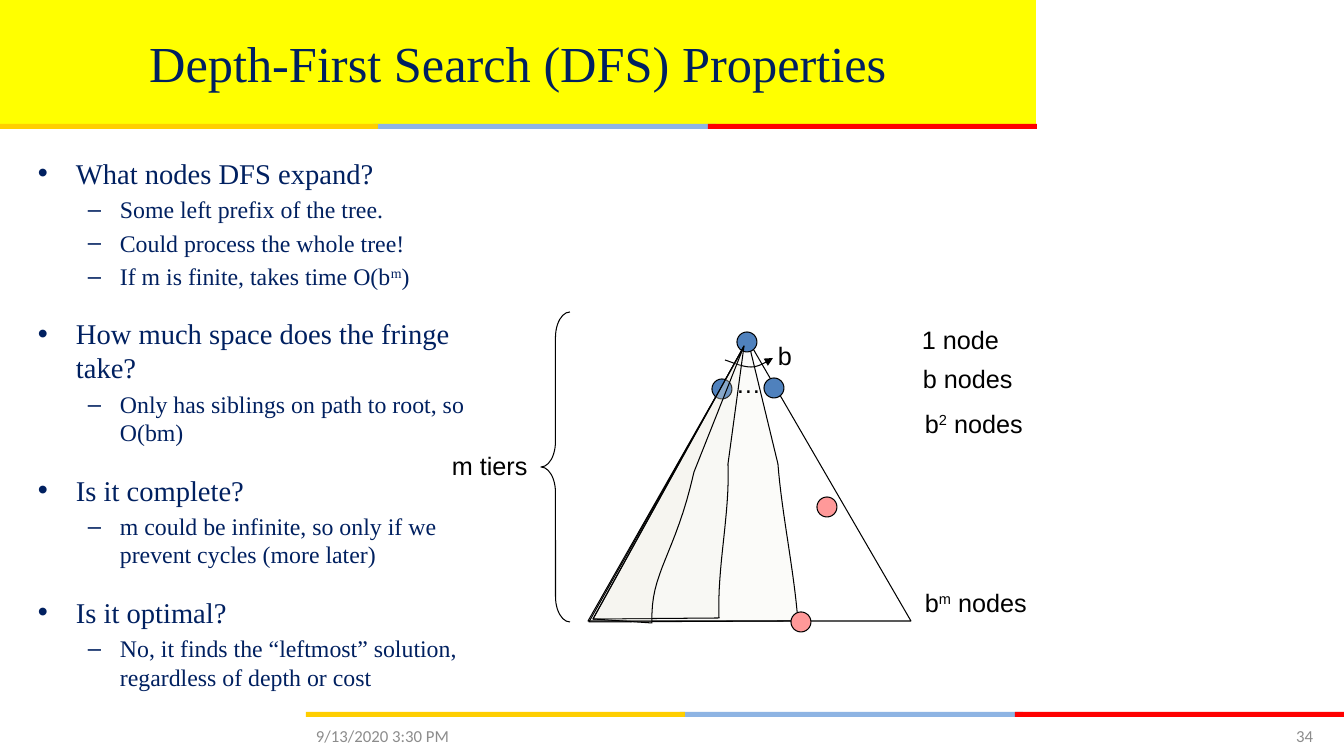
from dataclasses import dataclass

from lxml.etree import SubElement
from pptx import Presentation
from pptx.dml.color import RGBColor
from pptx.enum.shapes import MSO_SHAPE
from pptx.enum.text import MSO_ANCHOR, PP_ALIGN
from pptx.oxml.ns import qn
from pptx.util import Emu, Pt

PX = 914400 / 100.8
CURVE_STEPS = 16

BLACK = RGBColor(0x00, 0x00, 0x00)
NAVY = RGBColor(0x00, 0x20, 0x60)
GREY = RGBColor(0x8C, 0x8C, 0x8C)
BANNER_YELLOW = RGBColor(0xFF, 0xFF, 0x00)
GOLD = RGBColor(0xFF, 0xCE, 0x00)
SKY = RGBColor(0x8E, 0xB4, 0xE3)
RED = RGBColor(0xFF, 0x00, 0x00)
NODE_BLUE = RGBColor(0x4F, 0x81, 0xBD)
GOAL_PINK = RGBColor(0xFF, 0x99, 0x99)
CREAM = RGBColor(0xEE, 0xEC, 0xE1)

TITLE_STYLE = {"name": "Times New Roman", "size": Pt(36)}
LABEL_STYLE = {"name": "Arial", "size": Pt(18)}
FOOTER_STYLE = {"name": "Calibri", "size": Pt(12)}

Point = tuple[int, int]
Box = tuple[int, int, int, int]


@dataclass(frozen=True)
class Level:
    bullet: str
    indent: int
    hanging: int
    space_before: float
    size: float


@dataclass(frozen=True)
class Label:
    text: str
    box: Box
    style: dict
    color: RGBColor = BLACK
    align: PP_ALIGN = PP_ALIGN.LEFT
    anchor: MSO_ANCHOR = MSO_ANCHOR.TOP


@dataclass(frozen=True)
class Outline:
    """A segment of one point is a line, one of three points is a cubic curve."""
    start: Point
    segments: list[list[Point]]
    filled: bool = True
    closed: bool = True


QUESTION = Level("•", 38, 38, 18.5, 20.4)
ANSWER = Level("–", 82, 32, 3.4, 17)

# A caret pair marks superscript.
BODY = [
    (QUESTION, "What nodes DFS expand?"),
    (ANSWER, "Some left prefix of the tree."),
    (ANSWER, "Could process the whole tree!"),
    (ANSWER, "If m is finite, takes time O(b^m^)"),
    (QUESTION, "How much space does the fringe take?"),
    (ANSWER, "Only has siblings on path to root, so O(bm)"),
    (QUESTION, "Is it complete?"),
    (ANSWER, "m could be infinite, so only if we prevent cycles (more later)"),
    (QUESTION, "Is it optimal?"),
    (ANSWER, "No, it finds the “leftmost” solution, regardless of depth or cost"),
]

TITLE = Label("Depth-First Search (DFS) Properties", (0, 0, 1036, 124), TITLE_STYLE, NAVY,
              PP_ALIGN.CENTER, MSO_ANCHOR.MIDDLE)
TREE_LABELS = [
    Label("…", (726, 363, 30, 40), LABEL_STYLE),
    Label("b", (768, 335, 33, 40), LABEL_STYLE),
    Label("1 node", (912, 319, 137, 40), LABEL_STYLE),
    Label("b nodes", (913, 358, 137, 40), LABEL_STYLE),
    Label("b^2^ nodes", (915, 403, 134, 40), LABEL_STYLE),
    Label("b^m^ nodes", (915, 582, 173, 40), LABEL_STYLE),
    Label("m tiers", (442, 445, 139, 40), LABEL_STYLE),
]
FOOTERS = [
    Label("9/13/2020 3:30 PM", (306, 716, 313, 40), FOOTER_STYLE, GREY,
          anchor=MSO_ANCHOR.MIDDLE),
    Label("34", (1176, 716, 147, 40), FOOTER_STYLE, GREY, PP_ALIGN.RIGHT, MSO_ANCHOR.MIDDLE),
]

STRIPE = [(374, 343, SKY), (709, 329, RED), (0, 379, GOLD)]
NODES = [(737, 332), (712, 379), (764, 378)]
GOALS = [(791, 612), (817, 497)]

WIDE_SWEEP = Outline((589, 622), [[(798, 621)], [(794, 569), (782, 515), (778, 464)],
                                  [(748, 340)]])
TREE = Outline((588, 621), [[(911, 621)], [(748, 340)]], filled=False)
BRANCH_ARROW = Outline((725, 360), [[(734, 363), (743, 367), (751, 367)],
                                    [(759, 367), (766, 362), (773, 358)]],
                       filled=False, closed=False)
INNER_SWEEPS = [
    Outline((593, 619), [[(719, 618)], [(717, 566), (730, 515), (728, 464)], [(744, 346)]]),
    Outline((593, 619), [[(652, 623)], [(650, 572), (675, 556), (694, 472)], [(744, 346)]]),
]


def px(value: float) -> Emu:
    return Emu(round(value * PX))


def style_shape(shape, fill: RGBColor | None, outlined: bool = True) -> None:
    shape.shadow.inherit = False
    if fill is None:
        shape.fill.background()
    else:
        shape.fill.solid()
        shape.fill.fore_color.rgb = fill
    if outlined:
        shape.line.color.rgb = BLACK
        shape.line.width = Pt(0.75)
    else:
        shape.line.fill.background()


def add_preset(slide, kind: MSO_SHAPE, box: Box, fill: RGBColor | None, outlined: bool = True):
    shape = slide.shapes.add_shape(kind, *map(px, box))
    style_shape(shape, fill, outlined)
    return shape


def add_stripe(slide, left: int, top: int) -> None:
    for offset, width, color in STRIPE:
        add_preset(slide, MSO_SHAPE.RECTANGLE, (left + offset, top, width, 5), color, False)


def add_circle(slide, corner: Point, fill: RGBColor) -> None:
    add_preset(slide, MSO_SHAPE.OVAL, (*corner, 20, 20), fill)


def curve_points(start: Point, controls: list[Point]) -> list[tuple[float, float]]:
    """Sample a cubic curve, leaving out its start."""
    points = []
    for step in range(1, CURVE_STEPS + 1):
        t = step / CURVE_STEPS
        weights = ((1 - t) ** 3, 3 * t * (1 - t) ** 2, 3 * t * t * (1 - t), t ** 3)
        points.append(tuple(sum(weight * value for weight, value in zip(weights, axis))
                            for axis in zip(start, *controls)))
    return points


def add_outline(slide, outline: Outline):
    points, end = [], outline.start
    for segment in outline.segments:
        points += segment if len(segment) == 1 else curve_points(end, segment)
        end = segment[-1]
    builder = slide.shapes.build_freeform(*map(px, outline.start))
    builder.add_line_segments([(px(x), px(y)) for x, y in points], close=outline.closed)
    shape = builder.convert_to_shape()
    style_shape(shape, CREAM if outline.filled else None)
    if outline.filled:
        color = shape.fill._xPr.find(qn("a:solidFill"))[0]
        SubElement(color, qn("a:alpha"), val="20000")
    return shape


def add_runs(paragraph, text: str, style: dict, color: RGBColor) -> None:
    """Add the text, raising each part that stands between carets."""
    for index, part in enumerate(text.split("^")):
        run = paragraph.add_run()
        run.text = part
        for name, value in style.items():
            setattr(run.font, name, value)
        run.font.color.rgb = color
        if index % 2:
            run._r.get_or_add_rPr().set("baseline", "30000")


def add_frame(slide, box: Box):
    frame = slide.shapes.add_textbox(*map(px, box)).text_frame
    frame.word_wrap = True
    return frame


def add_label(slide, label: Label) -> None:
    frame = add_frame(slide, label.box)
    frame.vertical_anchor = label.anchor
    frame.paragraphs[0].alignment = label.align
    add_runs(frame.paragraphs[0], label.text, label.style, label.color)


def add_body(slide) -> None:
    frame = add_frame(slide, (28, 151, 461, 521))
    for index, (level, text) in enumerate(BODY):
        paragraph = frame.add_paragraph() if index else frame.paragraphs[0]
        properties = paragraph._p.get_or_add_pPr()
        properties.set("marL", str(px(level.indent)))
        properties.set("indent", str(px(-level.hanging)))
        SubElement(properties, qn("a:buFont"), typeface="Arial")
        SubElement(properties, qn("a:buChar"), char=level.bullet)
        if index:
            paragraph.space_before = Pt(level.space_before)
        add_runs(paragraph, text, {"name": "Times New Roman", "size": Pt(level.size)}, NAVY)


def main() -> None:
    presentation = Presentation()
    presentation.slide_width, presentation.slide_height = px(1344), px(756)
    slide = presentation.slides.add_slide(presentation.slide_layouts[6])

    add_stripe(slide, 306, 712)
    add_preset(slide, MSO_SHAPE.RECTANGLE, (0, 0, 1036, 124), BANNER_YELLOW, False)
    add_stripe(slide, -1, 124)
    add_outline(slide, WIDE_SWEEP)
    add_outline(slide, TREE)
    for corner in NODES:
        add_circle(slide, corner, NODE_BLUE)
    arrow = add_outline(slide, BRANCH_ARROW)
    SubElement(arrow.line._get_or_add_ln(), qn("a:tailEnd"), type="triangle")
    brace = add_preset(slide, MSO_SHAPE.LEFT_BRACE, (541, 312, 29, 310), None)
    brace.adjustments[0] = 0.88
    for label in [TITLE, *TREE_LABELS, *FOOTERS]:
        add_label(slide, label)
    add_body(slide)
    for sweep in INNER_SWEEPS:
        add_outline(slide, sweep)
    for corner in GOALS:
        add_circle(slide, corner, GOAL_PINK)

    presentation.save("out.pptx")


if __name__ == "__main__":
    main()
